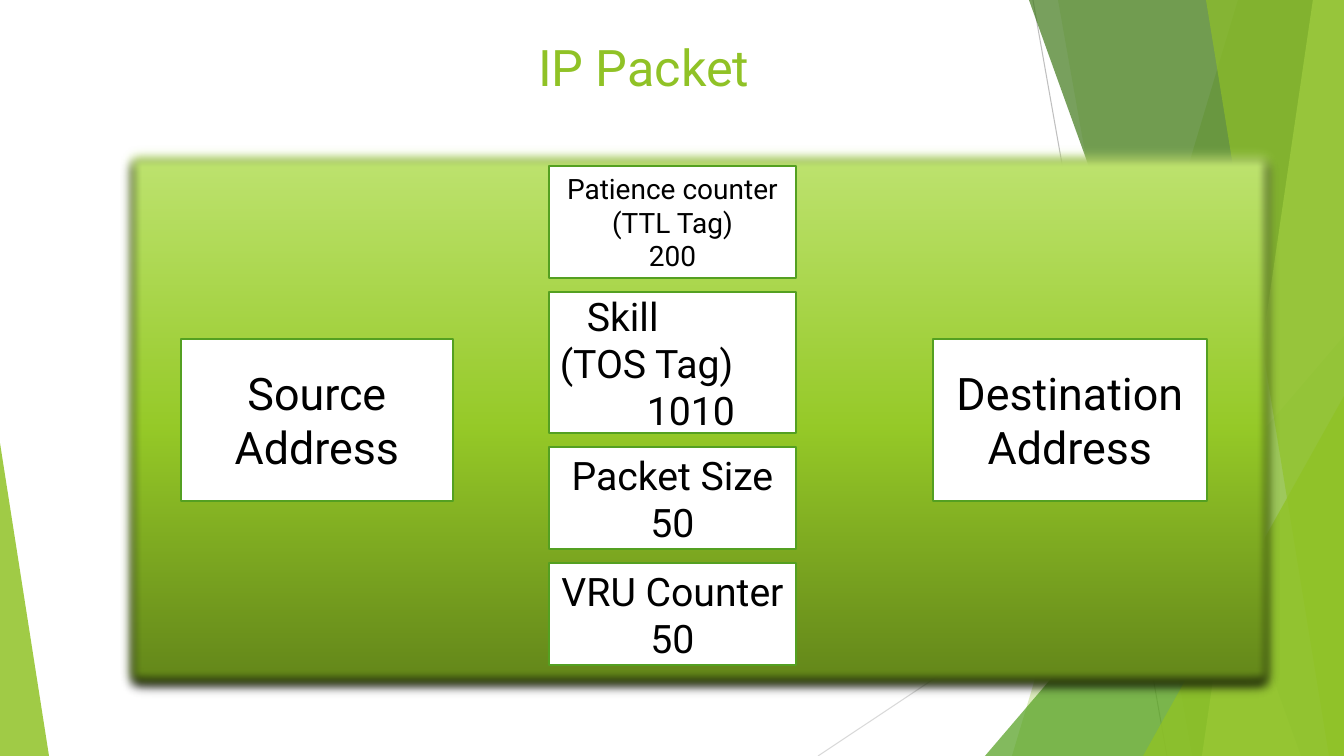
from lxml import etree
from pptx import Presentation
from pptx.dml.color import RGBColor
from pptx.enum.shapes import MSO_CONNECTOR, MSO_SHAPE
from pptx.enum.text import MSO_ANCHOR, PP_ALIGN
from pptx.oxml import parse_xml
from pptx.oxml.ns import nsdecls, qn
from pptx.util import Pt

PX = 914400 / 100.8
W, H = 1344, 756
FONT = "Roboto"
LIME, GREEN, WHITE, BLACK = "90C226", "54A021", "FFFFFF", "000000"


def px(*values):
    return [round(v * PX) for v in values]


def rgb(color):
    return RGBColor.from_string(color)


def style_text(p, size, color, align):
    p.font.name, p.font.size = FONT, Pt(size)
    p.font.color.rgb = rgb(color)
    p.alignment = align


def tint(sp, color, opacity):
    """Fill a borderless shape with a see-through colour; opacity is in percent."""
    sp.shadow.inherit = False
    sp.line.fill.background()
    sp.fill.solid()
    sp.fill.fore_color.rgb = rgb(color)
    clr = sp._element.spPr.find(f"{qn('a:solidFill')}/{qn('a:srgbClr')}")
    etree.SubElement(clr, qn("a:alpha"), val=str(opacity * 1000))


def add_line(slide, start, end, color):
    line = slide.shapes.add_connector(MSO_CONNECTOR.STRAIGHT, *px(*start, *end))
    line.line.color.rgb = rgb(color)
    line.line.width = Pt(0.75)
    etree.SubElement(line._element.spPr, qn("a:effectLst"))


def add_wedge(slide, top_x, bottom_x, color, opacity):
    """Band from a slanted left edge to the right edge of the slide."""
    builder = slide.shapes.build_freeform(top_x, 0, scale=PX)
    builder.add_line_segments([(W, 0), (W, H), (bottom_x, H)], close=True)
    tint(builder.convert_to_shape(), color, opacity)


def add_corner(slide, x, y, w, apex, color, opacity):
    """Right triangle that stands on the bottom edge of the slide."""
    sp = slide.shapes.add_shape(MSO_SHAPE.ISOSCELES_TRIANGLE, *px(x, y, w, H - y))
    sp.adjustments[0] = apex
    tint(sp, color, opacity)


def add_packet(slide, x, y, w, h):
    """Gradient panel with soft edges and a dark shadow below."""
    sp = slide.shapes.add_shape(MSO_SHAPE.RECTANGLE, *px(x, y, w, h))
    sp.line.fill.background()
    sp.fill.gradient()
    sp.fill.gradient_angle = 90
    stops = sp._element.spPr.find(f".//{qn('a:gsLst')}")
    for stop in list(stops):
        stops.remove(stop)
    for pos, color in ((0, "608219"), (48, "95C927"), (100, "C0E474")):
        stop = etree.SubElement(stops, qn("a:gs"), pos=str(pos * 1000))
        etree.SubElement(stop, qn("a:srgbClr"), val=color)
    sp.shadow.inherit = False
    effects = sp._element.spPr.find(qn("a:effectLst"))
    effects.append(parse_xml(
        f'<a:outerShdw {nsdecls("a")} blurRad="0" dist="{Pt(4)}" dir="5400000" '
        f'rotWithShape="0"><a:srgbClr val="{BLACK}"/></a:outerShdw>'))
    etree.SubElement(effects, qn("a:softEdge"), rad=str(Pt(10)))


def add_field(slide, x, y, w, h, lines, size, indents=None):
    """White box; indents, one per line, left-align the lines instead of centring."""
    sp = slide.shapes.add_shape(MSO_SHAPE.RECTANGLE, *px(x, y, w, h))
    sp.shadow.inherit = False
    sp.fill.solid()
    sp.fill.fore_color.rgb = rgb(WHITE)
    sp.line.color.rgb = rgb(GREEN)
    sp.line.width = Pt(1)
    tf = sp.text_frame
    tf.word_wrap = True
    tf.vertical_anchor = MSO_ANCHOR.MIDDLE
    tf.text = "\n".join(lines)
    for i, p in enumerate(tf.paragraphs):
        style_text(p, size, BLACK, PP_ALIGN.LEFT if indents else PP_ALIGN.CENTER)
        if indents:
            p._p.get_or_add_pPr().set("marL", str(px(indents[i])[0]))


def add_title(slide, text, x, y, w, h):
    title = slide.shapes.title
    title.left, title.top, title.width, title.height = px(x, y, w, h)
    tf = title.text_frame
    tf.text = text
    tf.word_wrap = True
    tf.vertical_anchor = MSO_ANCHOR.TOP
    style_text(tf.paragraphs[0], 36, LIME, PP_ALIGN.LEFT)


def add_backdrop(slide):
    add_line(slide, (1033, 0), (1167, H), "BFBFBF")
    add_line(slide, (W, 406), (818, H), "D9D9D9")
    add_wedge(slide, 1238, 1012, LIME, 30)
    add_wedge(slide, 1058, 1192, LIME, 20)
    add_corner(slide, 985, 336, 359, 1, GREEN, 72)
    add_wedge(slide, 1029, 1301, "3F7819", 70)
    add_wedge(slide, 1313, 1202, "C0E474", 70)
    add_wedge(slide, 1206, 1329, LIME, 65)
    add_corner(slide, 1143, 396, 201, 1, LIME, 80)
    add_corner(slide, 0, 443, 49, 0, LIME, 85)


def main():
    prs = Presentation()
    prs.slide_width, prs.slide_height = px(W, H)
    slide = prs.slides.add_slide(prs.slide_layouts[5])
    add_backdrop(slide)
    add_title(slide, "IP Packet", 528, 31, 981, 111)
    add_packet(slide, 117, 142, 1167, 555)

    add_field(slide, 181, 339, 272, 162, ["Source Address"], 32)
    add_field(slide, 933, 339, 274, 162, ["Destination Address"], 32)
    top, gap = 166, 14
    for height, lines, size, indents in (
        (112, ["Patience counter (TTL Tag)", "200"], 20, None),
        (141, ["Skill", "(TOS Tag)", "1010"], 28, (28, 1, 88)),
        (102, ["Packet Size 50"], 28, None),
        (102, ["VRU Counter 50"], 28, None),
    ):
        add_field(slide, 549, top, 247, height, lines, size, indents)
        top += height + gap

    prs.save("out.pptx")


if __name__ == "__main__":
    main()
